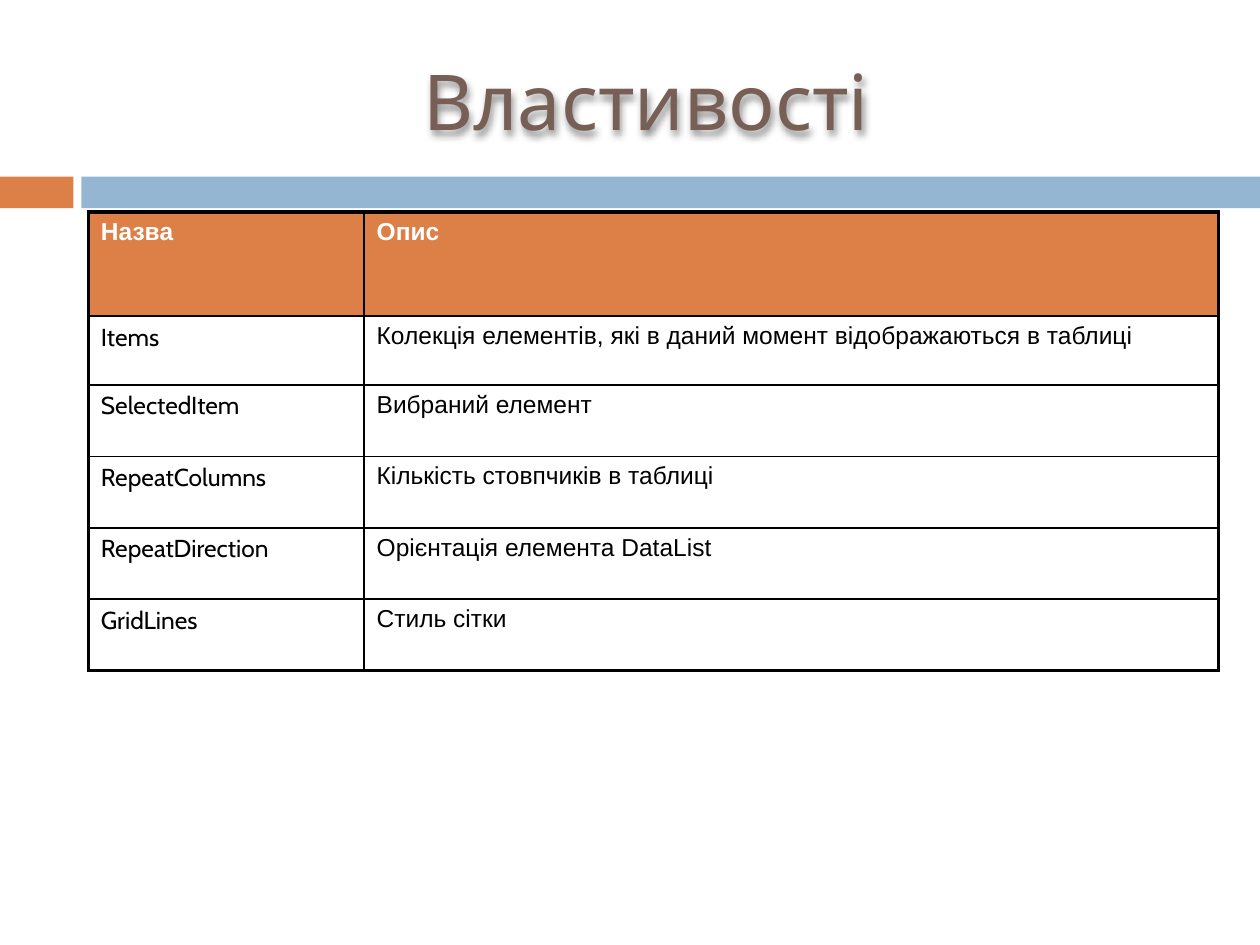
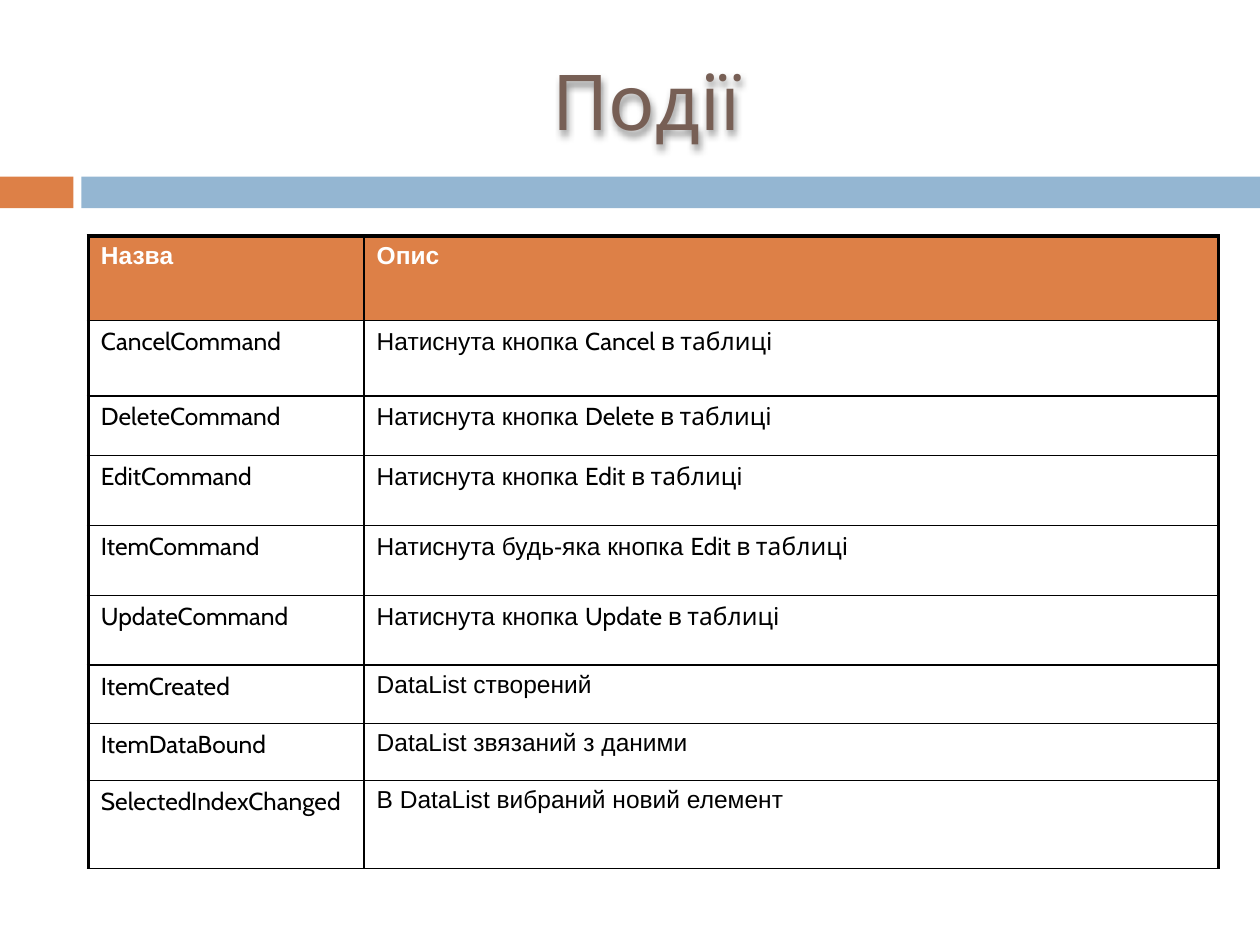
import dataclasses
import typing

import pptx
import pptx.dml.color
import pptx.enum.shapes
import pptx.enum.text
import pptx.oxml
import pptx.oxml.ns
import pptx.util

Cm = pptx.util.Cm
Pt = pptx.util.Pt
RGB = pptx.dml.color.RGBColor

ORANGE = RGB(0xDD, 0x80, 0x47)
BLUE = RGB(0x94, 0xB6, 0xD2)
BROWN = RGB(0x77, 0x5F, 0x55)
WHITE = RGB(0xFF, 0xFF, 0xFF)
BLACK = RGB(0, 0, 0)
SANS = "Arial"
CABIN = "Cabin"
SPACE = pptx.oxml.ns.nsdecls("a")
THIN, THICK = Pt(1), Pt(2.25)
WIDTHS = (Cm(5.56), Cm(17.22))


@dataclasses.dataclass(frozen=True)
class Band:
    left: pptx.util.Length
    width: pptx.util.Length
    color: RGB


@dataclasses.dataclass(frozen=True)
class Row:
    name: str
    text: str
    high: float
    tail: str = ""


@dataclasses.dataclass(frozen=True)
class Page:
    title: str
    top: pptx.util.Length
    head: float
    rows: tuple[Row, ...]
    base: pptx.util.Length


BANDS = (
    Band(Cm(0), Cm(1.48), ORANGE),
    Band(Cm(1.64), Cm(23.76), BLUE),
)

PAGES = (
    Page("Властивості", Cm(4.27), 2.1, (
        Row("Items", "Колекція елементів, які в даний момент відображаються в таблиці", 1.39),
        Row("SelectedItem", "Вибраний елемент", 1.44),
        Row("RepeatColumns", "Кількість стовпчиків в таблиці", 1.44),
        Row("RepeatDirection", "Орієнтація елемента DataList", 1.44),
        Row("GridLines", "Стиль сітки", 1.44),
    ), THICK),
    Page("Події", Cm(4.76), 1.7, (
        Row("CancelCommand", "Натиснута кнопка ", 1.52, "Cancel в таблиці"),
        Row("DeleteCommand", "Натиснута кнопка ", 1.2, "Delete в таблиці"),
        Row("EditCommand", "Натиснута кнопка ", 1.41, "Edit в таблиці"),
        Row("ItemCommand", "Натиснута будь-яка кнопка ", 1.41, "Edit в таблиці"),
        Row("UpdateCommand", "Натиснута кнопка ", 1.41, "Update в таблиці"),
        Row("ItemCreated", "DataList створений", 1.17),
        Row("ItemDataBound", "DataList звязаний з даними", 1.15),
        Row("SelectedIndexChanged", "В DataList вибраний новий елемент", 1.78),
    ), THIN),
)


def write(para: typing.Any, text: str, *, font: str = SANS, size: float = 14,
          color: RGB = BLACK, bold: bool = False) -> None:
    run = para.add_run()
    run.text = text
    run.font.name = font
    run.font.size = Pt(size)
    run.font.bold = bold
    run.font.color.rgb = color


def draw_bands(slide: typing.Any, master: typing.Any) -> None:
    for spot, band in enumerate(BANDS):
        bar = slide.shapes.add_shape(
            pptx.enum.shapes.MSO_SHAPE.RECTANGLE, band.left, Cm(3.56), band.width, Cm(0.64))
        bar.shadow.inherit = False
        bar.fill.solid()
        bar.fill.fore_color.rgb = band.color
        bar.line.fill.background()
        bar.element.nvSpPr.cNvPr.set("id", str(20 + spot))
        master.shapes.element.insert(2 + spot, bar.element)


def draw_title(slide: typing.Any, text: str) -> None:
    title = slide.shapes.title
    title.left, title.top = Cm(1.7), Cm(0.64)
    title.width, title.height = Cm(22.66), Cm(2.74)
    title.text_frame.vertical_anchor = pptx.enum.text.MSO_ANCHOR.MIDDLE
    para = title.text_frame.paragraphs[0]
    para.alignment = pptx.enum.text.PP_ALIGN.CENTER
    write(para, text, font=CABIN, size=44, color=BROWN)
    title.element.spPr.append(pptx.oxml.parse_xml(
        f'<a:effectLst {SPACE}><a:outerShdw blurRad="50800" dist="38100" dir="5400000">'
        '<a:srgbClr val="000000"><a:alpha val="43000"/></a:srgbClr>'
        '</a:outerShdw></a:effectLst>'))


def edge_cell(cell: typing.Any, **sides: int) -> None:
    props = cell._tc.get_or_add_tcPr()
    for side, width in sides.items():
        props.append(pptx.oxml.parse_xml(
            f'<a:ln{side} {SPACE} w="{width}"><a:solidFill>'
            f'<a:srgbClr val="{BLACK}"/></a:solidFill></a:ln{side}>'))


def space_para(para: typing.Any) -> None:
    para._p.get_or_add_pPr().append(pptx.oxml.parse_xml(
        f'<a:spcBef {SPACE}><a:spcPct val="20000"/></a:spcBef>'))


def draw_table(slide: typing.Any, page: Page) -> None:
    rows = (Row("Назва", "Опис", page.head),) + page.rows
    last = len(rows) - 1
    grid = slide.shapes.add_table(
        len(rows), 2, Cm(1.78), page.top, sum(WIDTHS), Cm(sum(row.high for row in rows))).table
    grid.first_row = grid.horz_banding = False
    for col, width in zip(grid.columns, WIDTHS):
        col.width = width
    for down, row in enumerate(rows):
        grid.rows[down].height = Cm(row.high)
        for across, text in enumerate((row.name, row.text)):
            cell = grid.cell(down, across)
            edge_cell(cell, L=THIN if across else THICK, R=THICK if across else THIN,
                      T=THIN if down else THICK, B=page.base if down == last else THIN)
            para = cell.text_frame.paragraphs[0]
            space_para(para)
            if down == 0:
                cell.fill.solid()
                cell.fill.fore_color.rgb = ORANGE
                write(para, text, color=WHITE, bold=True)
            else:
                cell.fill.background()
                write(para, text, font=SANS if across else CABIN)
                if across and row.tail:
                    write(para, row.tail, font=CABIN)


def main() -> None:
    deck = pptx.Presentation()
    deck.slide_width, deck.slide_height = Cm(25.4), Cm(19.05)
    for page in PAGES:
        slide = deck.slides.add_slide(deck.slide_layouts[5])
        if page is PAGES[0]:
            draw_bands(slide, deck.slide_master)
        draw_title(slide, page.title)
        draw_table(slide, page)
    deck.save("out.pptx")


if __name__ == "__main__":
    main()
